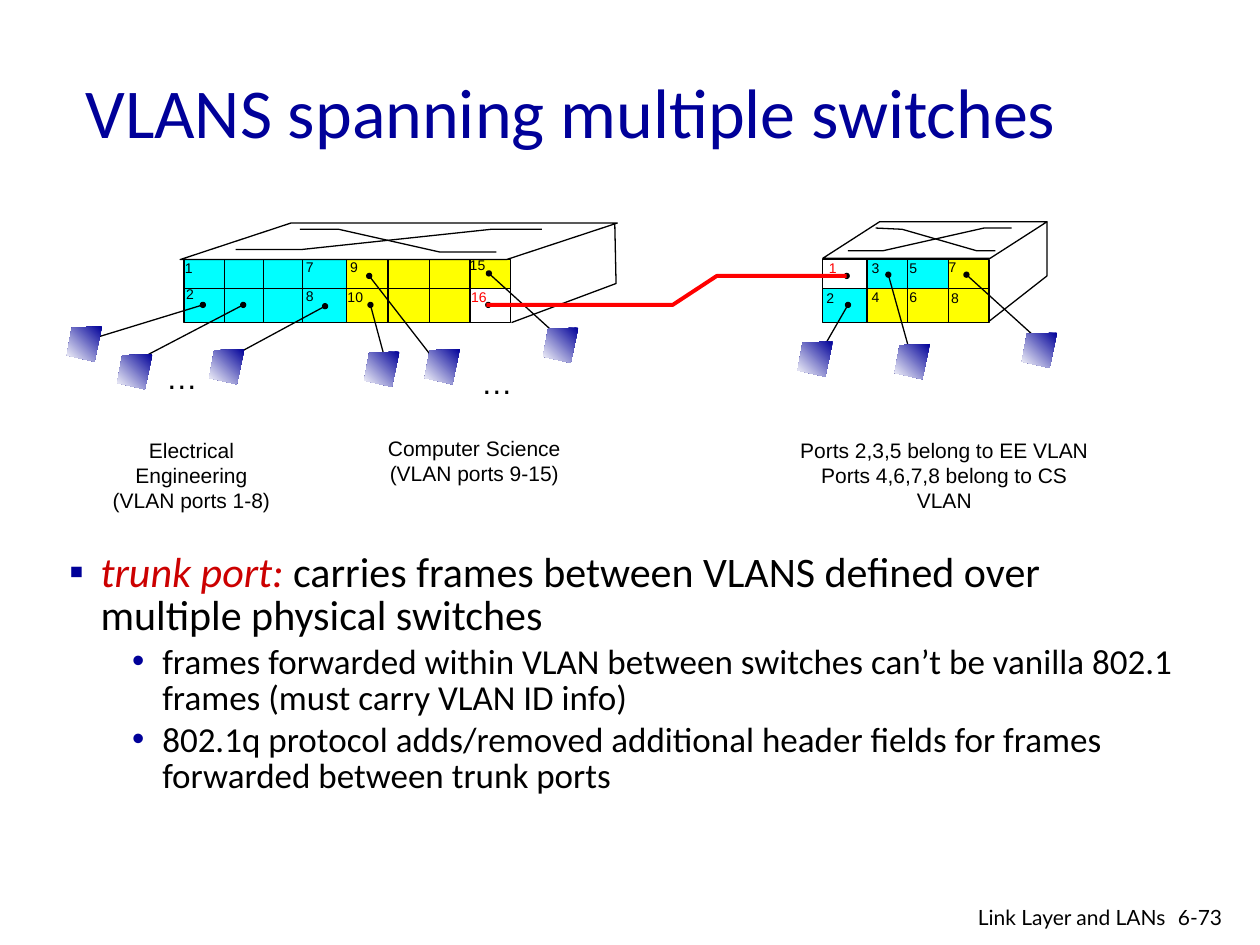
import pptx
import pptx.util
import pptx.dml.color
import pptx.enum.shapes
import pptx.enum.text
import pptx.oxml
import pptx.oxml.ns

UNIT = pptx.util.Inches(0.1)  # the slide is a grid of 100 columns by 75 rows
COLORS = {"ee": "00FFFF", "cs": "FFFF00", "white": "FFFFFF", "ink": "000000",
          "navy": "000099", "term": "CC0000", "trunk": "FF0000"}
SHAPE = pptx.enum.shapes.MSO_SHAPE
ALIGN = pptx.enum.text.PP_ALIGN
ANCHOR = pptx.enum.text.MSO_ANCHOR
TOP, MIDDLE, BOTTOM = 20.6, 22.9, 25.6  # rows of the switch ports


def grid(*values):
    return [pptx.util.Emu(round(v * UNIT)) for v in values]


def rgb(name):
    return pptx.dml.color.RGBColor.from_string(COLORS[name])


def set_line(sp, color, width=0.75):
    if color is None:
        sp.line.fill.background()
    else:
        sp.line.color.rgb = rgb(color)
        sp.line.width = pptx.util.Pt(width)


def add_preset(s, kind, x, y, w, h, fill=None, line=None):
    sp = s.shapes.add_shape(kind, *grid(x, y, w, h))
    sp.shadow.inherit = False
    if fill:
        sp.fill.solid()
        sp.fill.fore_color.rgb = rgb(fill)
    else:
        sp.fill.background()
    set_line(sp, line)
    return sp


def add_line(s, x1, y1, x2, y2):
    sp = s.shapes.add_connector(pptx.enum.shapes.MSO_CONNECTOR.STRAIGHT, *grid(x1, y1, x2, y2))
    set_line(sp, "ink")
    sp._element.spPr.append(pptx.oxml.parse_xml(
        "<a:effectLst %s/>" % pptx.oxml.ns.nsdecls("a")))


def add_path(s, points, line="ink", width=0.75, close=False):
    points = [grid(*p) for p in points]
    builder = s.shapes.build_freeform(*points[0], scale=1.0)
    builder.add_line_segments(points[1:], close=close)
    sp = builder.convert_to_shape()
    sp.shadow.inherit = False
    sp.fill.background()
    set_line(sp, line, width)
    return sp


def add_run(p, text, size, font="Arial", color="ink", italic=False):
    r = p.add_run()
    r.text = text
    r.font.size = pptx.util.Pt(size)
    r.font.name = font
    r.font.italic = italic
    r.font.color.rgb = rgb(color)


def add_text(s, x, y, w, h, lines, size, font="Arial", color="ink",
             align=ALIGN.LEFT, wrap=False, anchor=ANCHOR.TOP):
    tf = s.shapes.add_textbox(*grid(x, y, w, h)).text_frame
    tf.word_wrap = wrap
    tf.vertical_anchor = anchor
    for i, line in enumerate(lines):
        p = tf.paragraphs[0] if i == 0 else tf.add_paragraph()
        p.alignment = align
        add_run(p, line, size, font, color)


def add_bullet(p, mark, left, hang):
    pPr = p._p.get_or_add_pPr()
    pPr.set("marL", str(pptx.util.Inches(left)))
    pPr.set("indent", str(-pptx.util.Inches(hang)))
    ns = pptx.oxml.ns.nsdecls("a")
    for xml in ('<a:buClr %s><a:srgbClr val="%s"/></a:buClr>' % (ns, COLORS["navy"]),
                '<a:buFont %s typeface="Arial"/>' % ns,
                '<a:buChar %s char="%s"/>' % (ns, mark)):
        pPr.append(pptx.oxml.parse_xml(xml))
    p.line_spacing = 0.85


def add_body(s):
    tf = s.shapes.add_textbox(*grid(4.5, 43.4, 90.7, 29.4)).text_frame
    tf.word_wrap = True
    p = tf.paragraphs[0]
    add_bullet(p, "▪", 0.25, 0.25)
    add_run(p, "trunk port: ", 24, "Calibri", "term", italic=True)
    add_run(p, "carries frames between VLANS defined over multiple physical switches", 24, "Calibri")
    for text in ("frames forwarded within VLAN between switches can’t be vanilla 802.1 "
                 "frames (must carry VLAN ID info)",
                 "802.1q protocol adds/removed additional header fields for frames "
                 "forwarded between trunk ports"):
        p = tf.add_paragraph()
        p.level = 1
        add_bullet(p, "•", 0.74, 0.24)
        p.space_before = pptx.util.Pt(4)
        add_run(p, text, 20, "Calibri")


def add_switch(s, columns, blocks, lid, skew, side, crossing):
    """Blocks are (first column, last column, top row, bottom row, colour)."""
    for first, last, top, bottom, color in blocks:
        x = columns[first]
        add_preset(s, SHAPE.RECTANGLE, x, top, columns[last] - x, bottom - top, color)
    left, right = columns[0], columns[-1]
    add_preset(s, SHAPE.RECTANGLE, left, TOP, right - left, BOTTOM - TOP, line="ink")
    add_line(s, left, MIDDLE, right, MIDDLE)
    for x in columns[1:-1]:
        add_line(s, x, TOP, x, BOTTOM)
    add_preset(s, SHAPE.PARALLELOGRAM, *lid, "white", "ink").adjustments[0] = skew
    for points in (side, *crossing):
        add_path(s, points)


def add_port_dot(s, x, y):
    add_preset(s, SHAPE.OVAL, x - 0.25, y - 0.25, 0.5, 0.5, "ink")


def add_port_label(s, text, x, y, color="ink"):
    w = 2.6 if len(text) == 1 else 3.3
    add_text(s, x, y, w, 2.3, [text], 8, color=color)


def add_host(s, x, y):
    corners = ((2.8, 0), (0.4, 0.1), (0, 2.3), (2.2, 2.8))
    sp = add_path(s, [(x + dx, y + dy) for dx, dy in corners], line=None, close=True)
    sp.fill.gradient()
    sp.fill.gradient_angle = 225
    for stop, position, color in zip(sp.fill.gradient_stops, (0, 1), ("navy", "white")):
        stop.position = position
        stop.color.rgb = rgb(color)


def add_network(s):
    add_switch(s, (14.6, 17.8, 20.9, 24, 27.5, 30.8, 34.1, 37.3, 40.5),
               ((0, 4, TOP, BOTTOM, "ee"), (4, 7, TOP, BOTTOM, "cs"), (7, 8, TOP, MIDDLE, "cs")),
               (14.3, 17.7, 34.7, 2.9), 3.032,
               ((40.6, 25.6), (48.9, 22.5), (48.8, 17.7)),
               (((18.7, 19.8), (24, 19.8), (39, 18.2), (43, 18.2)),
                ((23.8, 18.2), (26.9, 18.2), (34.9, 20), (39.4, 20))))
    add_switch(s, (65.3, 68.8, 72, 75.3, 78.5),
               ((0, 1, MIDDLE, BOTTOM, "ee"), (1, 3, TOP, MIDDLE, "ee"),
                (3, 4, TOP, MIDDLE, "cs"), (1, 4, MIDDLE, BOTTOM, "cs")),
               (65.3, 17.6, 17.8, 2.9), 1.556,
               ((83.1, 17.6), (83.1, 21.9), (78.5, 25.5)),
               (((67.3, 19.9), (70.1, 19.9), (78.1, 18.1), (80.3, 18.1)),
                ((69.5, 18.1), (71.6, 18.2), (77.5, 19.9), (79, 19.9))))

    # port x, y, cable end x, y, host left, top
    for px, py, cx, cy, hx, hy in (
            (16.1, 24.2, 6.3, 27.2, 5.3, 25.9), (19.3, 24.2, 10.5, 28.8, 9.3, 28.1),
            (25.8, 24.3, 18.4, 28.3, 16.6, 27.7), (29.4, 24.2, 30.5, 28.3, 28.9, 27.9),
            (29.3, 21.9, 34.5, 28.6, 33.7, 27.7), (38.8, 21.7, 44.3, 26.7, 43.1, 26),
            (67.3, 24.2, 65.4, 27.5, 63.3, 27.1), (70.5, 21.8, 72.4, 28.6, 71, 27.3),
            (76.7, 21.8, 82.1, 26.7, 81.1, 26.4)):
        add_line(s, px, py, cx, cy)
        add_port_dot(s, px, py)
        add_host(s, hx, hy)

    for text, x, y in (("1", 13.7, 20.1), ("2", 13.8, 22.2), ("7", 23.3, 20), ("8", 23.3, 22.3),
                       ("9", 26.8, 20), ("10", 26.6, 22.4), ("15", 36.3, 19.9),
                       ("2", 64.6, 22.5), ("3", 68.2, 20.1), ("4", 68.2, 22.4), ("5", 71.2, 20.1),
                       ("6", 71.2, 22.4), ("7", 74.3, 20), ("8", 74.5, 22.5)):
        add_port_label(s, text, x, y)


def add_trunk(s):
    add_port_label(s, "16", 36.4, 22.4, "trunk")
    add_port_label(s, "1", 64.8, 20.1, "trunk")
    add_port_dot(s, 38.75, 24.2)
    add_port_dot(s, 67.2, 21.9)
    add_path(s, ((38.6, 24.2), (53.4, 24.2), (56.9, 21.9), (67.2, 21.9)), "trunk", 2.25)


def main():
    prs = pptx.Presentation()
    prs.slide_width, prs.slide_height = grid(100, 75)
    s = prs.slides.add_slide(prs.slide_layouts[6])
    add_text(s, 5.8, 2.5, 85, 12.5, ["VLANS spanning multiple switches"], 40, "Calibri", "navy",
             wrap=True, anchor=ANCHOR.MIDDLE)
    add_body(s)
    add_network(s)
    add_trunk(s)
    for x in ((12.2, 27.9), (37.2, 28.3)):
        add_text(s, *x, 4.5, 4, ["…"], 18)
    for x, y, w, wrap, lines in (
            (7.2, 34.2, 16, True, ["Electrical Engineering", "(VLAN ports 1-8)"]),
            (29.8, 34.1, 15.7, False, ["Computer Science", "(VLAN ports 9-15)"]),
            (61.8, 34.2, 26.3, False, ["Ports 2,3,5 belong to EE VLAN",
                                       "Ports 4,6,7,8 belong to CS VLAN"])):
        add_text(s, x, y, w, 5, lines, 12, align=ALIGN.CENTER, wrap=wrap)
    add_text(s, 92.5, 71.3, 6, 3, ["6-73"], 12, "Lato", wrap=True)
    add_text(s, 69.7, 71.3, 23.8, 2.6, ["Link Layer and LANs"], 12, "Lato",
             align=ALIGN.RIGHT, wrap=True)
    prs.save("out.pptx")


if __name__ == "__main__":
    main()
